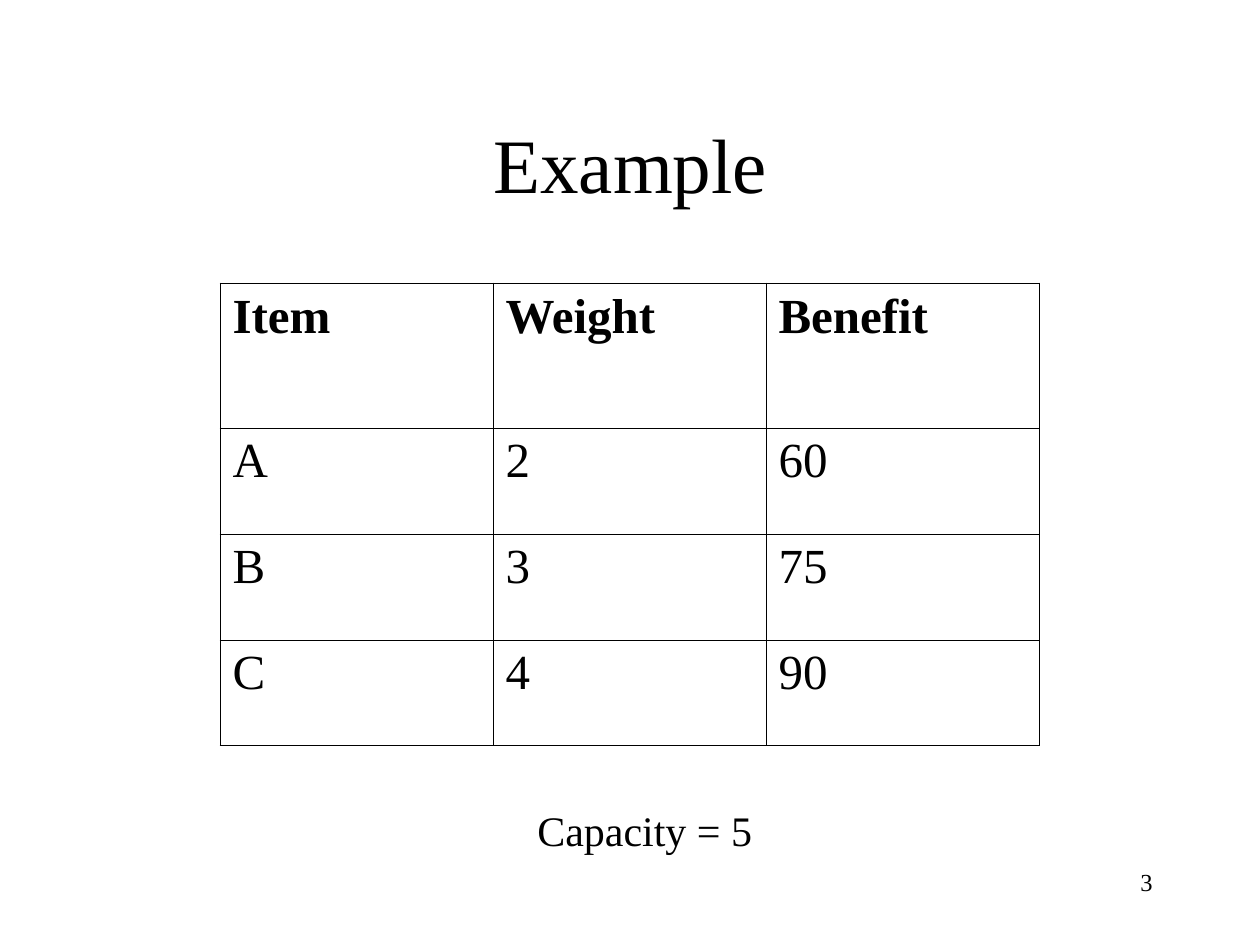
from lxml.etree import SubElement
from pptx import Presentation
from pptx.dml.color import RGBColor
from pptx.enum.text import MSO_ANCHOR, MSO_AUTO_SIZE, PP_ALIGN
from pptx.oxml.ns import qn
from pptx.util import Pt

PX = 914400 // 126
FONT = "Times New Roman"
COLORS = {"ink": "000000"}
ROWS = [
    ("Item", "Weight", "Benefit"),
    ("A", "2", "60"),
    ("B", "3", "75"),
    ("C", "4", "90"),
]
COL_WIDTH = 273
HEADER_HEIGHT, ROW_HEIGHT = 145, 106
BORDER_WIDTH = 0.45


def px(n):
    return n * PX


def add_run(p, text, size, bold=False):
    r = p.add_run()
    r.text = text
    r.font.name = FONT
    r.font.size = Pt(size)
    r.font.bold = bold
    r.font.color.rgb = RGBColor.from_string(COLORS["ink"])


def add_text(s, box, text, size, align=PP_ALIGN.LEFT, anchor=MSO_ANCHOR.TOP, wrap=True):
    """Add one line of text; without wrap, the box grows to fit it."""
    tf = s.shapes.add_textbox(*map(px, box)).text_frame
    tf.word_wrap = wrap
    tf.auto_size = MSO_AUTO_SIZE.NONE if wrap else MSO_AUTO_SIZE.SHAPE_TO_FIT_TEXT
    tf.vertical_anchor = anchor
    p = tf.paragraphs[0]
    p.alignment = align
    add_run(p, text, size)


def set_borders(cell):
    tcPr = cell._tc.get_or_add_tcPr()
    for i, side in enumerate("LRTB"):
        ln = tcPr.makeelement(qn(f"a:ln{side}"))
        ln.set("w", str(Pt(BORDER_WIDTH)))
        fill = SubElement(ln, qn("a:solidFill"))
        SubElement(fill, qn("a:srgbClr")).set("val", COLORS["ink"])
        tcPr.insert(i, ln)


def add_item_table(s, left, top):
    n_rows, n_cols = len(ROWS), len(ROWS[0])
    heights = [HEADER_HEIGHT] + [ROW_HEIGHT] * (n_rows - 1)
    table = s.shapes.add_table(n_rows, n_cols, px(left), px(top),
                               px(COL_WIDTH * n_cols), px(sum(heights))).table
    table.horz_banding = False
    for col in table.columns:
        col.width = px(COL_WIDTH)
    for i, (values, height) in enumerate(zip(ROWS, heights)):
        table.rows[i].height = px(height)
        for j, value in enumerate(values):
            cell = table.cell(i, j)
            cell.fill.background()
            set_borders(cell)
            p = cell.text_frame.paragraphs[0]
            p.space_before = Pt(7)
            add_run(p, value, 28, bold=i == 0)


def main():
    prs = Presentation()
    prs.slide_width, prs.slide_height = px(1260), px(945)
    s = prs.slides.add_slide(prs.slide_layouts[6])
    add_text(s, (95, 84, 1071, 158), "Example", 44, PP_ALIGN.CENTER, MSO_ANCHOR.MIDDLE)
    add_item_table(s, 220, 283)
    add_text(s, (525, 798, 242, 63), "Capacity = 5", 24, wrap=False)
    add_text(s, (903, 861, 262, 63), "3", 14, PP_ALIGN.RIGHT)
    prs.save("out.pptx")


if __name__ == "__main__":
    main()
